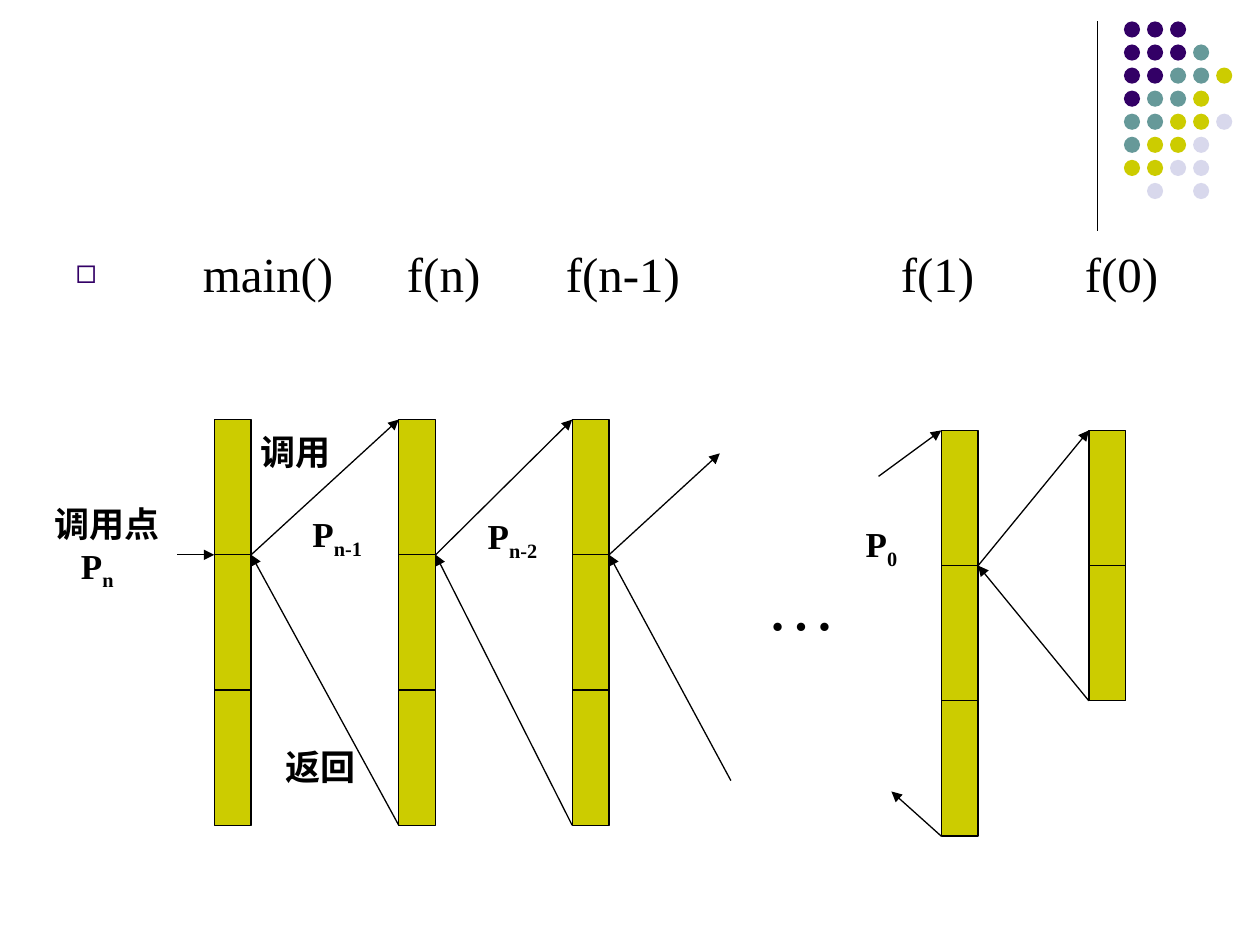
from collections import namedtuple

from lxml import etree
from pptx import Presentation, util as u
from pptx.dml.color import RGBColor
from pptx.enum import shapes, text
from pptx.oxml.ns import qn

COLORS = {
    "ink": "000000",
    "purple": "330066",
    "teal": "669999",
    "olive": "CCCC00",
    "mist": "D8D8EC",
}
FONT = "Times New Roman"
SLIDE_COLUMNS, SLIDE_ROWS = 100, 75
Box = namedtuple("Box", "left top width height")

DOT_ROWS = ["PPP", "PPPT", "PPTTO", "PTTO", "TTOOM", "TOOM", "OOMM", " M M"]
DOT_COLORS = {"P": "purple", "T": "teal", "O": "olive", "M": "mist"}

HEADINGS = [("main()", 10.1), ("f(n)", 26.3), ("f(n-1)", 38.9), ("f(1)", 65.5), ("f(0)", 80.1)]

DIAGRAM_COLUMNS, DIAGRAM_ROWS = 24.7, 3
LOW = 0.08
STACKS = [(0, 0, 3), (5, 0, 3), (9.7, 0, 3), (19.7, LOW, 3), (23.7, LOW, 2)]
ARROWS = [
    (-1, 1, 0, 1),
    (1, 1, 5, 0),
    (6, 1, 9.7, 0),
    (10.7, 1, 13.7, 0.25),
    (18, 0.42, 19.7, LOW),
    (20.7, 1 + LOW, 23.7, LOW),
    (23.7, 2 + LOW, 20.7, 1 + LOW),
    (19.7, 3 + LOW, 18.35, 2.75),
    (14, 2.67, 10.7, 1),
    (9.7, 3, 6, 1),
    (5, 3, 1, 1),
]
LABELS = [
    (1.26, 0.08, 2.01, 0.31, [("调用", "")]),
    (1.92, 2.41, 1.95, 0.31, [("返回", "")]),
    (-4.33, 0.61, 2.87, 0.66, [("调用点", ""), ("P", "n")]),
    (2.66, 0.69, 1.4, 0.35, [("P", "n-1")]),
    (7.41, 0.7, 1.4, 0.35, [("P", "n-2")]),
    (17.65, 0.76, 1.2, 0.35, [("P", "0")]),
]


def rgb(name):
    return RGBColor.from_string(COLORS[name])


def slide_box(presentation, left, top, width, height):
    column = presentation.slide_width / SLIDE_COLUMNS
    row = presentation.slide_height / SLIDE_ROWS
    return Box(int(left * column), int(top * row), int(width * column), int(height * row))


def grid_box(box, columns, rows, left, top, width, height):
    column, row = box.width / columns, box.height / rows
    return Box(
        int(box.left + left * column),
        int(box.top + top * row),
        int(width * column),
        int(height * row),
    )


def format_font(font, size, bold=False):
    font.name, font.size, font.bold = FONT, u.Pt(size), bold
    font.color.rgb = rgb("ink")


def add_block(parts, preset, box, color, outlined=False):
    shape = parts.add_shape(preset, *box)
    shape.shadow.inherit = False
    shape.fill.solid()
    shape.fill.fore_color.rgb = rgb(color)
    if outlined:
        shape.line.color.rgb = rgb("ink")
        shape.line.width = u.Pt(0.75)
    else:
        shape.line.fill.background()


def add_line(parts, start, end, arrow=False):
    connector = parts.add_connector(shapes.MSO_CONNECTOR.STRAIGHT, *start, *end)
    connector.line.color.rgb = rgb("ink")
    connector.line.width = u.Pt(0.75)
    if arrow:
        line = connector.line._get_or_add_ln()
        etree.SubElement(line, qn("a:tailEnd"), type="triangle")
    etree.SubElement(connector._element.spPr, qn("a:effectLst"))


def add_dots(slide, box):
    parts = slide.shapes.add_group_shape().shapes
    for row, pattern in enumerate(DOT_ROWS):
        for column, code in enumerate(pattern):
            if code in DOT_COLORS:
                dot = grid_box(box, 4.7, 7.7, column, row, 0.7, 0.7)
                add_block(parts, shapes.MSO_SHAPE.OVAL, dot, DOT_COLORS[code])


def add_headings(slide, presentation, box):
    title, body = slide.shapes.title, slide.placeholders[1]
    title._element.getparent().remove(title._element)
    body.left, body.top, body.width, body.height = box
    frame = body.text_frame
    frame.margin_top = u.Inches(0.05)
    frame.vertical_anchor = text.MSO_ANCHOR.TOP
    frame.text = "".join("\t" + heading for heading, _ in HEADINGS)
    paragraph = frame.paragraphs[0]
    paragraph.space_before = u.Pt(0)
    properties = paragraph._p.get_or_add_pPr()
    properties.set("marL", "0")
    properties.set("indent", "0")
    color = etree.SubElement(properties, qn("a:buClr"))
    etree.SubElement(color, qn("a:srgbClr"), val=COLORS["purple"])
    etree.SubElement(properties, qn("a:buSzPct"), val="70000")
    etree.SubElement(properties, qn("a:buChar"), char="◻")
    tabs = etree.SubElement(properties, qn("a:tabLst"))
    for _, column in HEADINGS:
        position = int(column * presentation.slide_width / SLIDE_COLUMNS)
        etree.SubElement(tabs, qn("a:tab"), pos=str(position), algn="l")
    format_font(paragraph.runs[0].font, 28)


def add_label(parts, box, lines):
    frame = parts.add_textbox(*box).text_frame
    frame.word_wrap = False
    frame.margin_left = frame.margin_right = frame.margin_top = frame.margin_bottom = 0
    for index, (base, subscript) in enumerate(lines):
        paragraph = frame.add_paragraph() if index else frame.paragraphs[0]
        paragraph.text = base
        if index:
            paragraph._p.get_or_add_pPr().set("marL", str(box.width // 4))
        if subscript:
            run = paragraph.add_run()
            run.text = subscript
            run.font._element.set("baseline", "-25000")
        for run in paragraph.runs:
            format_font(run.font, 20, bold=True)


def add_ellipsis(parts, box):
    frame = parts.add_textbox(*box).text_frame
    frame.word_wrap = False
    frame.text = "…"
    format_font(frame.paragraphs[0].runs[0].font, 40)


def add_call_diagram(slide, box):
    parts = slide.shapes.add_group_shape().shapes

    def place(left, top, width=0, height=0):
        return grid_box(box, DIAGRAM_COLUMNS, DIAGRAM_ROWS, left, top, width, height)

    for left, top, count in STACKS:
        for cell in range(count):
            add_block(parts, shapes.MSO_SHAPE.RECTANGLE, place(left, top + cell, 1, 1), "olive", True)
    for x1, y1, x2, y2 in ARROWS:
        add_line(parts, place(x1, y1)[:2], place(x2, y2)[:2], arrow=True)
    for left, top, width, height, lines in LABELS:
        add_label(parts, place(left, top, width, height), lines)
    add_ellipsis(parts, place(14.64, 1, 2.56, 0.72))


def main():
    presentation = Presentation()
    presentation.slide_width, presentation.slide_height = u.Inches(10), u.Inches(7.5)
    slide = presentation.slides.add_slide(presentation.slide_layouts[1])
    rule = slide_box(presentation, 87.1, 1.7, 0, 16.6)
    add_line(slide.shapes, rule[:2], (rule.left, rule.top + rule.height))
    add_dots(slide, slide_box(presentation, 89.2, 1.7, 8.6, 14.1))
    add_headings(slide, presentation, slide_box(presentation, 5, 18.8, 90, 48.2))
    add_call_diagram(slide, slide_box(presentation, 17, 33.3, 72.35, 32.2))
    presentation.save("out.pptx")


if __name__ == "__main__":
    main()
